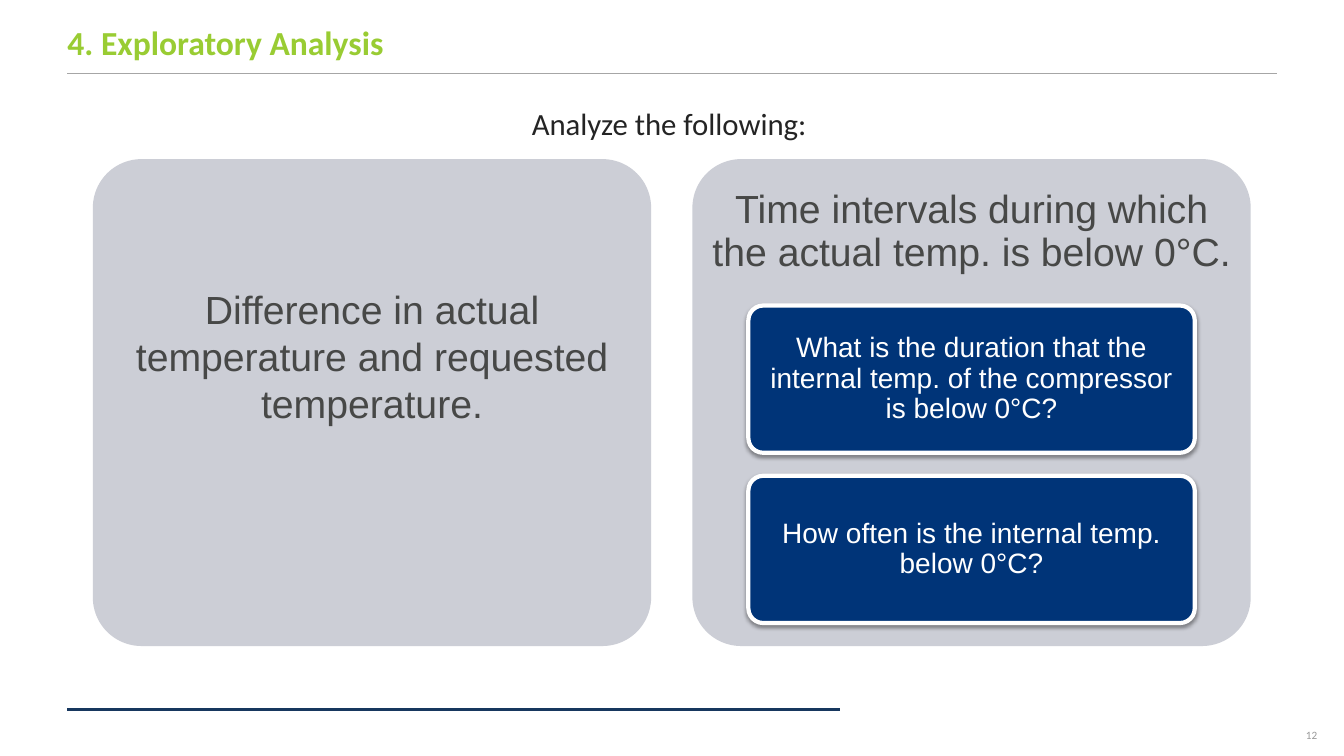
import pptx
import pptx.dml.color
import pptx.enum.shapes
import pptx.enum.text
import pptx.oxml
import pptx.util
from pptx.util import Cm, Pt

TITLE = "4. Exploratory Analysis"
INTRO = "Analyze the following:"
PAGE_NUMBER = "12"
DIFFERENCE = "Difference in actual temperature and requested temperature."
INTERVALS = "Time intervals during which the actual temp. is below 0°C."
QUESTIONS = [
    "What is the duration that the internal temp. of the compressor is below 0°C?",
    "How often is the internal temp. below 0°C?",
]

GREEN, NAVY, BLUE = "99CC33", "17375E", "003478"
CARD_GREY, HEADING_GREY, INK = "CCCED6", "474847", "242424"
RULE_GREY, NUMBER_GREY, WHITE = "A6A6A6", "999999", "FFFFFF"

MARGIN, CONTENT_W = 1.7, 30.48
CARD_LEFT, CARD_TOP, CARD_W, CARD_H, CARD_PITCH = 2.34, 4.01, 14.07, 12.27, 15.11
QUESTION_TOP, QUESTION_W, QUESTION_H, QUESTION_PITCH = 7.7, 11.25, 3.71, 4.29

A_NS = 'xmlns:a="http://schemas.openxmlformats.org/drawingml/2006/main"'
NO_EFFECT = f"<a:effectLst {A_NS}/>"
SOFT_SHADOW = (
    f'<a:effectLst {A_NS}><a:outerShdw blurRad="{Pt(3.1)}" dist="{Pt(1.6)}" '
    'dir="5400000" rotWithShape="0"><a:srgbClr val="000000">'
    '<a:alpha val="38000"/></a:srgbClr></a:outerShdw></a:effectLst>'
)
ALIGN = pptx.enum.text.PP_ALIGN
ANCHOR = pptx.enum.text.MSO_ANCHOR


def rgb(hex_color):
    return pptx.dml.color.RGBColor.from_string(hex_color)


def write(shape, text, size, color, font="Arial", align=ALIGN.CENTER,
          anchor=ANCHOR.MIDDLE, insets=(0, 0, 0, 0), spacing=None, bold=False):
    """Fill a shape with one formatted paragraph; insets are left, top, right, bottom in cm."""
    frame = shape.text_frame
    frame.text = text
    frame.word_wrap = True
    frame.auto_size = pptx.enum.text.MSO_AUTO_SIZE.NONE
    frame.vertical_anchor = anchor
    (frame.margin_left, frame.margin_top,
     frame.margin_right, frame.margin_bottom) = map(Cm, insets)
    paragraph = frame.paragraphs[0]
    paragraph.alignment = align
    if spacing:
        paragraph.line_spacing = spacing
    run_font = paragraph.runs[0].font
    run_font.name, run_font.size, run_font.bold = font, Pt(size), bold
    run_font.color.rgb = rgb(color)


def add_text(slide, box, *args, **options):
    write(slide.shapes.add_textbox(*map(Cm, box)), *args, **options)


def add_rule(slide, y, right, color, width):
    rule = slide.shapes.add_connector(
        pptx.enum.shapes.MSO_CONNECTOR.STRAIGHT, Cm(MARGIN), Cm(y), Cm(right), Cm(y))
    rule.line.color.rgb = rgb(color)
    rule.line.width = Pt(width)
    rule._element.spPr.append(pptx.oxml.parse_xml(NO_EFFECT))


def add_rounded(slide, box, fill):
    rounded = slide.shapes.add_shape(
        pptx.enum.shapes.MSO_SHAPE.ROUNDED_RECTANGLE, *map(Cm, box))
    rounded.adjustments[0] = 0.1
    rounded.fill.solid()
    rounded.fill.fore_color.rgb = rgb(fill)
    return rounded


def add_card(slide, left):
    card = add_rounded(slide, (left, CARD_TOP, CARD_W, CARD_H), CARD_GREY)
    card.line.fill.background()
    card.shadow.inherit = False


def add_question(slide, left, top, text):
    question = add_rounded(slide, (left, top, QUESTION_W, QUESTION_H), BLUE)
    question.line.color.rgb = rgb(WHITE)
    question.line.width = Pt(3)
    question._element.spPr.append(pptx.oxml.parse_xml(SOFT_SHADOW))
    write(question, text, 20, WHITE, insets=(0.25, 0.2, 0.25, 0.2), spacing=0.9)


def main():
    deck = pptx.Presentation()
    deck.slide_width, deck.slide_height = Cm(33.87), Cm(19.05)
    slide = deck.slides.add_slide(deck.slide_layouts[5])

    add_rule(slide, 1.85, MARGIN + CONTENT_W, RULE_GREY, 1)
    add_rule(slide, 17.88, 21.18, NAVY, 2.25)

    title = slide.shapes.title
    title.left, title.top, title.width, title.height = map(Cm, (MARGIN, 0.41, CONTENT_W, 1.3))
    line_insets = (0, 0.13, 0.25, 0.13)
    write(title, TITLE, 24, GREEN, "Calibri", ALIGN.LEFT, ANCHOR.BOTTOM,
          line_insets, bold=True)
    add_text(slide, (1.75, 2.51, CONTENT_W, 1.3), INTRO, 22, INK, "Calibri",
             anchor=ANCHOR.TOP, insets=line_insets)
    add_text(slide, (32.23, 18.01, 1.65, 1.02), PAGE_NUMBER, 8, NUMBER_GREY, "Calibri")

    right_card = CARD_LEFT + CARD_PITCH
    for left in (CARD_LEFT, right_card):
        add_card(slide, left)
    add_text(slide, (2.49, 7.06, 13.77, 3.84), DIFFERENCE, 28, HEADING_GREY,
             anchor=ANCHOR.TOP, insets=(0.25, 0.13, 0.25, 0.13))
    add_text(slide, (right_card, CARD_TOP, CARD_W, QUESTION_TOP - CARD_TOP), INTERVALS,
             28, HEADING_GREY, insets=(0.3, 0.3, 0.3, 0.3), spacing=0.9)

    question_left = right_card + (CARD_W - QUESTION_W) / 2
    for row, text in enumerate(QUESTIONS):
        add_question(slide, question_left, QUESTION_TOP + row * QUESTION_PITCH, text)

    deck.save("out.pptx")


if __name__ == "__main__":
    main()
